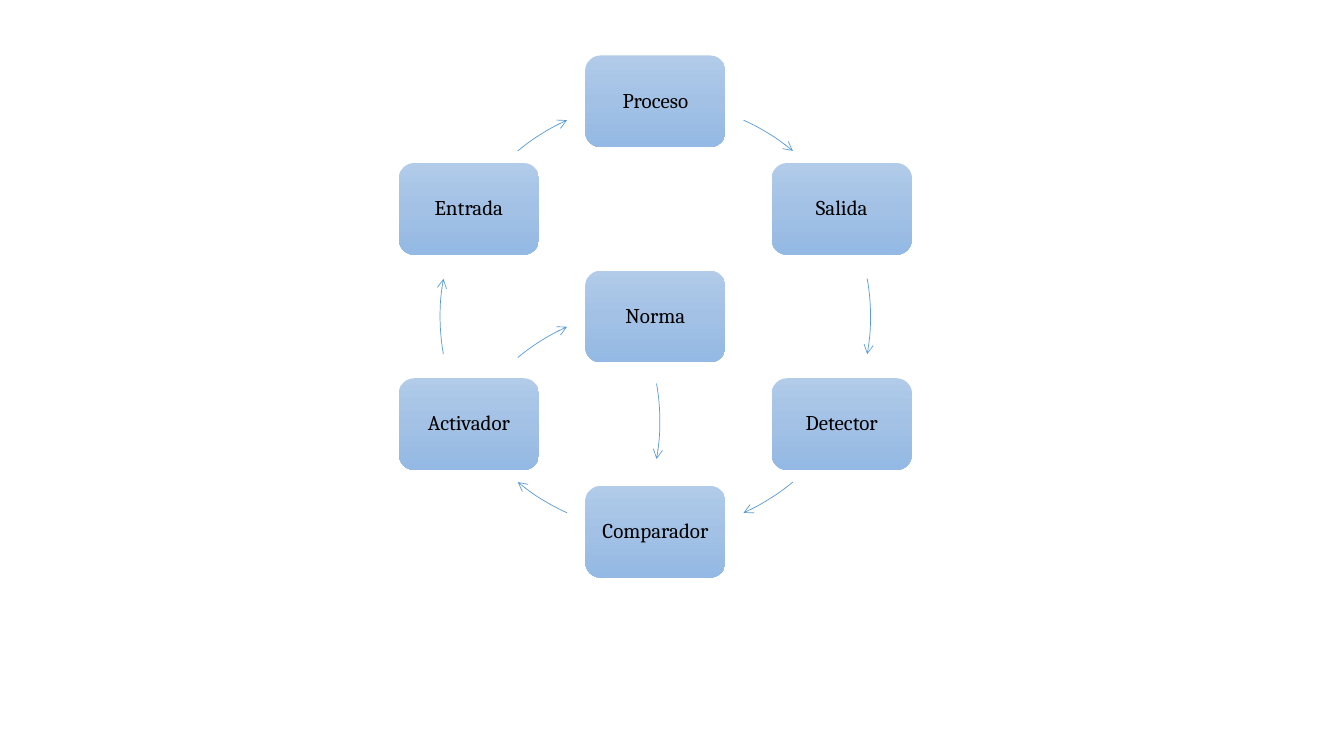
import copy
import math

import pptx
import pptx.dml.color
import pptx.enum.shapes
import pptx.enum.text
import pptx.oxml
import pptx.oxml.ns
import pptx.util

Inches = pptx.util.Inches
Pt = pptx.util.Pt
RGBColor = pptx.dml.color.RGBColor
SHAPES = pptx.enum.shapes.MSO_SHAPE

BLACK = RGBColor(0x00, 0x00, 0x00)
ARROW_BLUE = RGBColor(0x5B, 0x9B, 0xD5)
BOX_GRADIENT = [
    (0, RGBColor(0xB1, 0xCB, 0xE9)),
    (0.5, RGBColor(0xA3, 0xC1, 0xE5)),
    (1, RGBColor(0x93, 0xB9, 0xE4)),
]
FONT_FORMAT = {"name": "Cambria", "size": Pt(15)}
FRAME_FORMAT = {
    "word_wrap": True,
    "vertical_anchor": pptx.enum.text.MSO_ANCHOR.MIDDLE,
    "margin_left": Inches(0.1),
    "margin_right": Inches(0.1),
    "margin_top": Inches(0.1),
    "margin_bottom": Inches(0.1),
}
PARAGRAPH_FORMAT = {
    "alignment": pptx.enum.text.PP_ALIGN.CENTER,
    "line_spacing": 0.9,
}

CENTER_X, CENTER_Y = 6.5, 3.14
DIAMETER = 4.27
RADIUS = DIAMETER / 2
BOX_WIDTH, BOX_HEIGHT = 1.39, 0.91


def add_box(label, center_x, center_y):
    """Add a labelled gradient box around a centre point."""
    shape = slide.shapes.add_shape(
        SHAPES.ROUNDED_RECTANGLE,
        Inches(center_x - BOX_WIDTH / 2), Inches(center_y - BOX_HEIGHT / 2),
        Inches(BOX_WIDTH), Inches(BOX_HEIGHT))
    shape.shadow.inherit = False
    shape.line.fill.background()
    shape.fill.gradient()
    shape.fill.gradient_angle = 270
    first_stop = shape._element.spPr.xpath(".//a:gs")[0]
    first_stop.addnext(copy.deepcopy(first_stop))
    for stop, (position, color) in zip(shape.fill.gradient_stops, BOX_GRADIENT):
        stop.position = position
        stop.color.rgb = color
    frame = shape.text_frame
    frame.text = label
    paragraph = frame.paragraphs[0]
    font = paragraph.runs[0].font
    font.color.rgb = BLACK
    for target, format_values in ((frame, FRAME_FORMAT),
                                  (paragraph, PARAGRAPH_FORMAT),
                                  (font, FONT_FORMAT)):
        for name, value in format_values.items():
            setattr(target, name, value)


def add_arc_arrow(start, end, shift_x=0, shift_y=0):
    """Add a clockwise arc arrow between two angles, in degrees."""
    shape = slide.shapes.add_shape(
        SHAPES.ARC,
        Inches(CENTER_X - RADIUS + shift_x), Inches(CENTER_Y - RADIUS + shift_y),
        Inches(DIAMETER), Inches(DIAMETER))
    shape.shadow.inherit = False
    shape.fill.background()
    # Arc angles are stored in 60000ths of a degree, adjustments in 100000ths.
    shape.adjustments[0] = start * 0.6
    shape.adjustments[1] = end * 0.6
    shape.line.color.rgb = ARROW_BLUE
    shape.line.width = Pt(0.5)
    arrowhead = pptx.oxml.parse_xml(
        '<a:tailEnd %s type="arrow"/>' % pptx.oxml.ns.nsdecls("a"))
    shape.line._get_or_add_ln().append(arrowhead)


presentation = pptx.Presentation()
presentation.slide_width = Inches(13.33)
presentation.slide_height = Inches(7.5)
slide = presentation.slides.add_slide(presentation.slide_layouts[6])

cycle = ["Proceso", "Salida", "Detector", "Comparador", "Activador", "Entrada"]
for index, label in enumerate(cycle):
    angle = math.radians(index * 60 - 90)
    add_box(label, CENTER_X + RADIUS * math.cos(angle),
            CENTER_Y + RADIUS * math.sin(angle))
add_box("Norma", CENTER_X, CENTER_Y)

downward = (349.9, 10.1)
upper_left = (230.3, 245.8)
cycle_arcs = [(294.2, 309.7), downward, (50.3, 65.8),
              (114.2, 129.7), (169.9, 190.1), upper_left]
for start, end in cycle_arcs:
    add_arc_arrow(start, end)

# Activador to Norma, then Norma to Comparador
add_arc_arrow(*upper_left, shift_y=2.05)
add_arc_arrow(*downward, shift_x=-2.09, shift_y=1.04)

presentation.save("out.pptx")
